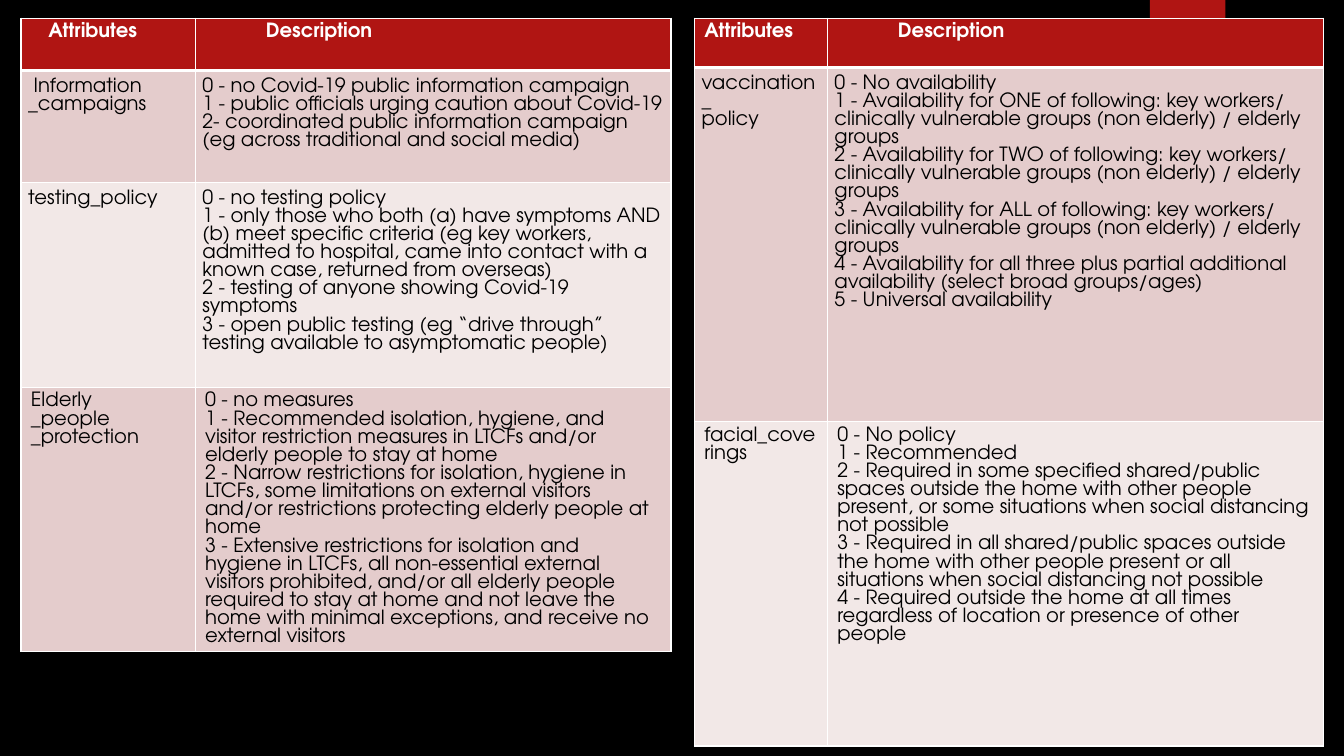
from lxml import etree
from pptx import Presentation
from pptx import util as u
from pptx.dml.color import RGBColor
from pptx.enum import shapes
from pptx.oxml.ns import qn

COLORS = {
    "background": "000000",
    "header": "B01513",
    "dark_band": "E4CCCC",
    "light_band": "F2E8E7",
    "border": "FFFFFF",
    "header_text": "FFFFFF",
    "body_text": "000000",
}
FONT = "TeX Gyre Adventor"
NARROW, WIDE = 0.18, 0.25
DESCRIPTION_INDENT = 1.78
BREAK, PARAGRAPH = "\v", "\n"

TABLES = [
    {
        "left": 0.53,
        "columns": [4.39, 11.99],
        "header_height": 1.32,
        "header_indent": 0.69,
        "rows": [
            (2.82, NARROW, BREAK, [" Information", "_campaigns"], [
                "0 - no Covid-19 public information campaign",
                "1 - public officials urging caution about Covid-19",
                "2- coordinated public information campaign (eg across traditional and social media)",
            ]),
            (5.16, NARROW, BREAK, ["testing_policy"], [
                "0 - no testing policy",
                "1 - only those who both (a) have symptoms AND (b) meet specific criteria (eg key workers, "
                "admitted to hospital, came into contact with a known case, returned from overseas)",
                "2 - testing of anyone showing Covid-19 symptoms",
                "3 - open public testing (eg “drive through” testing available to asymptomatic people)",
            ]),
            (2.72, WIDE, PARAGRAPH, ["Elderly", "_people", "_protection"], [
                "0 - no measures",
                "1 - Recommended isolation, hygiene, and visitor restriction measures in LTCFs and/or "
                "elderly people to stay at home",
                "2 - Narrow restrictions for isolation, hygiene in LTCFs, some limitations on external "
                "visitors and/or restrictions protecting elderly people at home",
                "3 - Extensive restrictions for isolation and hygiene in LTCFs, all non-essential external "
                "visitors prohibited, and/or all elderly people required to stay at home and not leave the "
                "home with minimal exceptions, and receive no external visitors",
            ]),
        ],
    },
    {
        "left": 17.5,
        "columns": [3.35, 12.5],
        "header_height": 1.24,
        "header_indent": WIDE,
        "rows": [
            (8.92, NARROW, BREAK, ["vaccination_", "policy"], [
                "0 - No availability",
                *[f"{level} - Availability for {count} of following: key workers/ clinically vulnerable "
                  "groups (non elderly) / elderly groups"
                  for level, count in enumerate(["ONE", "TWO", "ALL"], 1)],
                "4 - Availability for all three plus partial additional availability (select broad groups/ages)",
                "5 - Universal availability",
            ]),
            (8.18, WIDE, PARAGRAPH, ["facial_coverings"], [
                "0 - No policy",
                "1 - Recommended",
                "2 - Required in some specified shared/public spaces outside the home with other people "
                "present, or some situations when social distancing not possible",
                "3 - Required in all shared/public spaces outside the home with other people present or "
                "all situations when social distancing not possible",
                "4 - Required outside the home at all times regardless of location or presence of other people",
            ]),
        ],
    },
]
TABLE_TOP = 0.46


def color(name):
    return RGBColor.from_string(COLORS[name])


def add_borders(cell, bottom_width):
    properties = cell._tc.get_or_add_tcPr()
    for side, width in (("L", 1), ("R", 1), ("T", 1), ("B", bottom_width)):
        line = etree.SubElement(properties, qn(f"a:ln{side}"), w=str(u.Pt(width)))
        fill = etree.SubElement(line, qn("a:solidFill"))
        etree.SubElement(fill, qn("a:srgbClr"), val=COLORS["border"])


def fill_cell(cell, content, band, margin_left, margin, header=False):
    add_borders(cell, 3 if header else 1)
    cell.fill.solid()
    cell.fill.fore_color.rgb = color(band)
    cell.margin_left, cell.margin_right = u.Cm(margin_left), u.Cm(margin)
    cell.margin_top = cell.margin_bottom = u.Cm(NARROW if margin == NARROW else 0.13)
    cell.text_frame.text = content
    for paragraph in cell.text_frame.paragraphs:
        font = paragraph.font
        font.name, font.size, font.bold = FONT, u.Pt(14), header
        font.color.rgb = color("header_text" if header else "body_text")


def add_attribute_table(slide, data):
    rows, columns = data["rows"], data["columns"]
    heights = [data["header_height"]] + [row[0] for row in rows]
    table = slide.shapes.add_table(
        len(heights), len(columns), u.Cm(data["left"]), u.Cm(TABLE_TOP),
        u.Cm(sum(columns)), u.Cm(sum(heights))).table
    for column, width in zip(table.columns, columns):
        column.width = u.Cm(width)
    for row, height in zip(table.rows, heights):
        row.height = u.Cm(height)

    headings = [("Attributes", data["header_indent"]), ("Description", DESCRIPTION_INDENT)]
    for index, (heading, indent) in enumerate(headings):
        fill_cell(table.cell(0, index), heading, "header", indent, WIDE, header=True)
    for number, (_, margin, separator, attribute, levels) in enumerate(rows, 1):
        band = "dark_band" if number % 2 else "light_band"
        fill_cell(table.cell(number, 0), PARAGRAPH.join(attribute), band, margin, margin)
        fill_cell(table.cell(number, 1), separator.join(levels), band, margin, margin)


def main():
    presentation = Presentation()
    presentation.slide_width, presentation.slide_height = u.Cm(33.87), u.Cm(19.05)
    slide = presentation.slides.add_slide(presentation.slide_layouts[6])
    slide.background.fill.solid()
    slide.background.fill.fore_color.rgb = color("background")

    tab = slide.shapes.add_shape(
        shapes.MSO_SHAPE.RECTANGLE, u.Cm(28.98), u.Cm(0), u.Cm(1.9), u.Cm(3.18))
    tab.shadow.inherit = False
    tab.fill.solid()
    tab.fill.fore_color.rgb = color("header")
    tab.line.fill.background()

    for data in TABLES:
        add_attribute_table(slide, data)
    presentation.save("out.pptx")


if __name__ == "__main__":
    main()
